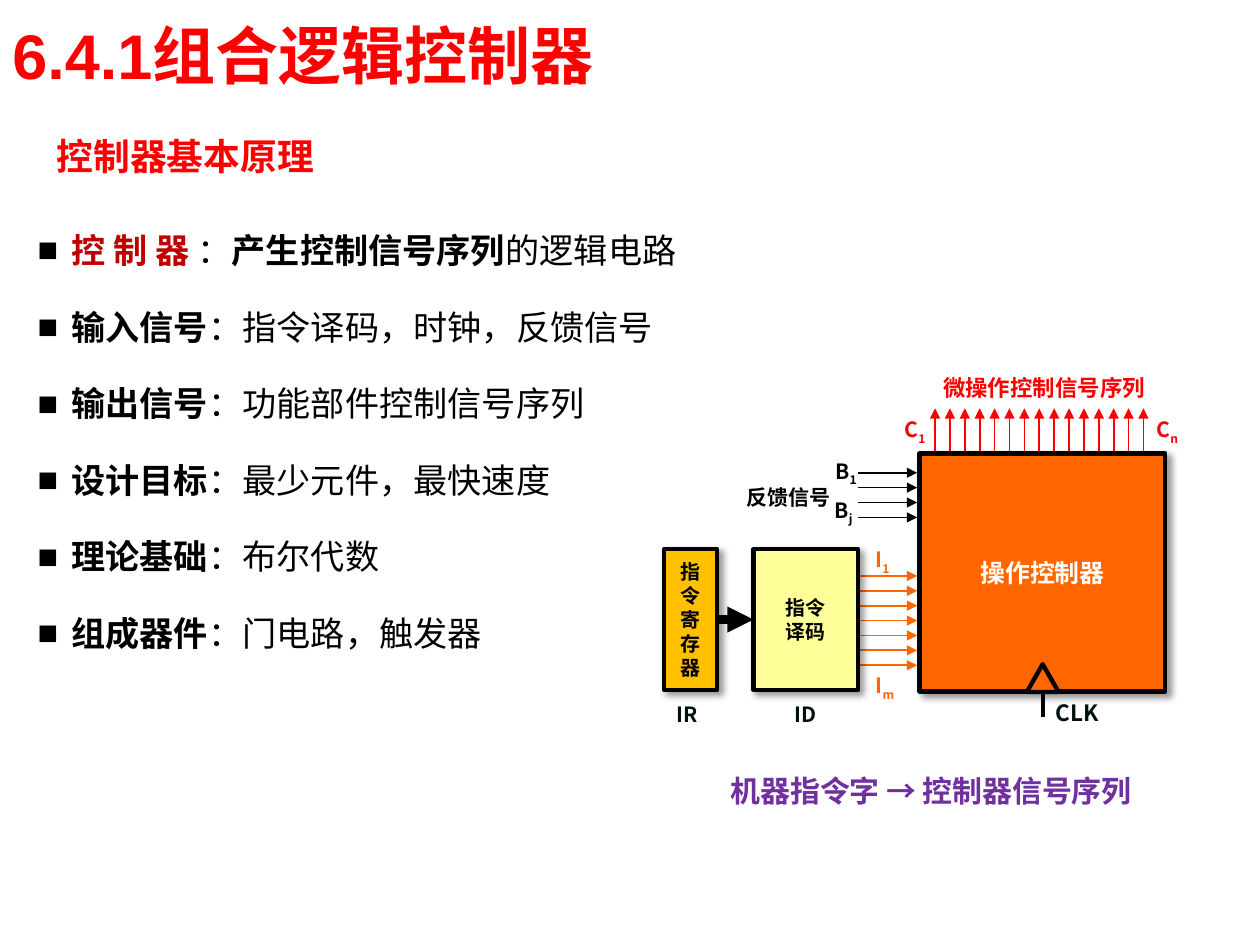
import pptx
import pptx.util
import pptx.dml.color
import pptx.enum.shapes
import pptx.enum.text
import pptx.oxml
import pptx.oxml.ns
from lxml import etree

Cm, Pt = pptx.util.Cm, pptx.util.Pt
SHAPE = pptx.enum.shapes.MSO_SHAPE
ALIGN = pptx.enum.text.PP_ALIGN
ANCHOR = pptx.enum.text.MSO_ANCHOR
qn = pptx.oxml.ns.qn
CJK = "Noto Sans CJK SC"
RED, ORANGE, BLACK, INK = "FF0000", "FF6600", "000000", "001010"

HEADING = "6.4.1组合逻辑控制器"
TITLE = "控制器基本原理"
POINTS = [
    [("控 制 器 ", {"color": "C00000", "bold": True}), ("：", {}),
     ("产生控制信号序列", {"bold": True}), ("的逻辑电路", {})],
] + [
    [(term, {"bold": True}), ("：" + detail, {})]
    for term, detail in [
        ("输入信号", "指令译码，时钟，反馈信号"),
        ("输出信号", "功能部件控制信号序列"),
        ("设计目标", "最少元件，最快速度"),
        ("理论基础", "布尔代数"),
        ("组成器件", "门电路，触发器"),
    ]
]
LABELS = [
    ("微操作控制信号序列", (18.75, 7.42, 4.6, 0.81), 12.8, RED),
    ("反馈信号", (14.78, 9.65, 2.24, 0.76), 12, BLACK),
    ("IR", (13.36, 14.02, 0.97, 0.76), 12, INK),
    ("ID", (15.75, 14.02, 0.97, 0.76), 12, INK),
    ("CLK", (21.01, 13.97, 1.4, 0.81), 12.8, INK),
]
SIGNALS = [
    ("I", "1", 17.37, 10.9, 0.84, ORANGE),
    ("I", "m", 17.37, 13.44, 0.94, ORANGE),
    ("C", "1", 17.96, 8.28, 0.97, RED),
    ("C", "n", 23.04, 8.28, 0.99, RED),
    ("B", "1", 16.56, 9.12, 0.99, BLACK),
    ("B", "j", 16.56, 9.91, 0.89, BLACK),
]
BOXES = {
    "register": (["指令寄存器"], (13.39, 11.07, 1.07, 2.84), "FFC000", 11.4, BLACK),
    "decoder": (["指令", "译码"], (15.19, 11.07, 2.11, 2.84), "FFFF99", 11.4, BLACK),
    "controller": (["操作控制器"], (18.54, 9.14, 4.95, 4.8), ORANGE, 14.2, "FFFFFF"),
}
STEP = 0.3
INPUT_LEFT, INPUT_RIGHT = 17.3, 18.49
INPUTS = [(4, 9.53, BLACK), (7, 11.61, ORANGE)]
OUTPUT_COUNT, OUTPUT_LEFT, OUTPUT_BOTTOM, OUTPUT_TOP = 15, 18.85, 9.14, 8.23


def rgb(color):
    return pptx.dml.color.RGBColor.from_string(color)


def place(at):
    return [Cm(v) for v in at]


def write(sp, paragraphs, size=12, color=BLACK, bold=True, font=CJK, align=None,
          anchor=ANCHOR.TOP, wrap=True, spacing=None, gap=None, bullet=None):
    tf = sp.text_frame
    tf.auto_size = pptx.enum.text.MSO_AUTO_SIZE.NONE
    tf.word_wrap = wrap
    tf.vertical_anchor = anchor
    for i, runs in enumerate(paragraphs):
        p = tf.add_paragraph() if i else tf.paragraphs[0]
        if bullet:
            pPr = p._p.get_or_add_pPr()
            pPr.set("marL", str(Cm(0.68)))
            pPr.set("indent", str(Cm(-0.68)))
            buClr = etree.SubElement(pPr, qn("a:buClr"))
            etree.SubElement(buClr, qn("a:srgbClr"), val=BLACK)
            etree.SubElement(pPr, qn("a:buFont"), typeface="Arial")
            etree.SubElement(pPr, qn("a:buChar"), char=bullet)
        p.alignment = align
        if spacing:
            p.line_spacing = spacing
        if gap:
            p.space_after = Pt(gap)
            if i:
                p.space_before = Pt(gap)
        for text, own in [(runs, {})] if isinstance(runs, str) else runs:
            r = p.add_run()
            r.text = text
            r.font.size = Pt(size)
            r.font.bold = own.get("bold", bold)
            r.font.color.rgb = rgb(own.get("color", color))
            r.font.name = font
            rPr = r._r.get_or_add_rPr()
            etree.SubElement(rPr, qn("a:ea"), typeface=CJK)
            if "baseline" in own:
                rPr.set("baseline", str(own["baseline"]))


def add_text(slide, at, paragraphs, **fmt):
    write(slide.shapes.add_textbox(*place(at)), paragraphs, **fmt)


def add_box(slide, kind, at, fill, shadow=False):
    sp = slide.shapes.add_shape(kind, *place(at))
    sp.shadow.inherit = False
    sp.fill.solid()
    sp.fill.fore_color.rgb = rgb(fill)
    sp.line.color.rgb = rgb(BLACK)
    sp.line.width = Pt(2.5)
    if shadow:
        effects = sp._element.spPr.find(qn("a:effectLst"))
        outer = etree.SubElement(effects, qn("a:outerShdw"), blurRad=str(Pt(4)),
                                 dist=str(Pt(3)), dir="2700000", algn="tl", rotWithShape="0")
        clr = etree.SubElement(outer, qn("a:srgbClr"), val=BLACK)
        etree.SubElement(clr, qn("a:alpha"), val="40000")
    return sp


def add_arrow(slide, start, end, color, width=1):
    line = slide.shapes.add_connector(
        pptx.enum.shapes.MSO_CONNECTOR.STRAIGHT, *place(start + end))
    line.line.color.rgb = rgb(color)
    line.line.width = Pt(width)
    etree.SubElement(line.line._get_or_add_ln(), qn("a:tailEnd"), type="triangle")
    etree.SubElement(line._element.spPr, qn("a:effectLst"))
    return line


def main():
    prs = pptx.Presentation()
    prs.slide_width, prs.slide_height = Cm(25.4), Cm(19.05)
    slide = prs.slides.add_slide(prs.slide_layouts[5])

    title = slide.shapes.title
    title.left, title.top, title.width, title.height = place((0.89, 2.34, 21.89, 1.73))
    write(title, [TITLE], size=21, color=RED, align=ALIGN.LEFT,
          anchor=ANCHOR.MIDDLE, spacing=0.9)
    add_text(slide, (0, 0.08, 21.69, 2.03), [HEADING], size=36, color=RED,
             font="Arial", anchor=ANCHOR.MIDDLE)
    add_text(slide, (0.51, 4.09, 21.89, 14.9), POINTS, size=19.5, bold=False,
             spacing=1.5, gap=4.3, bullet="■")

    for i in range(OUTPUT_COUNT):
        x = OUTPUT_LEFT + i * STEP
        add_arrow(slide, (x, OUTPUT_BOTTOM), (x, OUTPUT_TOP), RED)
    for count, top, color in INPUTS:
        for i in range(count):
            y = top + i * STEP
            add_arrow(slide, (INPUT_LEFT, y), (INPUT_RIGHT, y), color)

    boxes = {}
    for name, (lines, at, fill, size, color) in BOXES.items():
        boxes[name] = add_box(slide, SHAPE.RECTANGLE, at, fill, shadow=True)
        write(boxes[name], lines, size=size, color=color, font="Roboto",
              align=ALIGN.CENTER, anchor=ANCHOR.MIDDLE)

    transfer = add_arrow(slide, (14.46, 12.49), (15.19, 12.49), BLACK, width=5)
    transfer.begin_connect(boxes["register"], 3)
    transfer.end_connect(boxes["decoder"], 1)
    add_arrow(slide, (21.03, 14.45), (21.03, 13.67), BLACK, width=2)
    add_box(slide, SHAPE.ISOSCELES_TRIANGLE, (20.7, 13.39, 0.64, 0.56), ORANGE)

    for text, at, size, color in LABELS:
        add_text(slide, at, [text], size=size, color=color, align=ALIGN.CENTER, wrap=False)
    for letter, index, x, y, width, color in SIGNALS:
        add_text(slide, (x, y, width, 0.76), [[(letter, {}), (index, {"baseline": -25000})]],
                 color=color, align=ALIGN.CENTER, wrap=False)
    add_text(slide, (14.48, 15.09, 8.74, 1.22), ["机器指令字 → 控制器信号序列"],
             size=17.1, color="7030A0", wrap=False, spacing=1.5, gap=4.3)

    prs.save("out.pptx")


if __name__ == "__main__":
    main()
